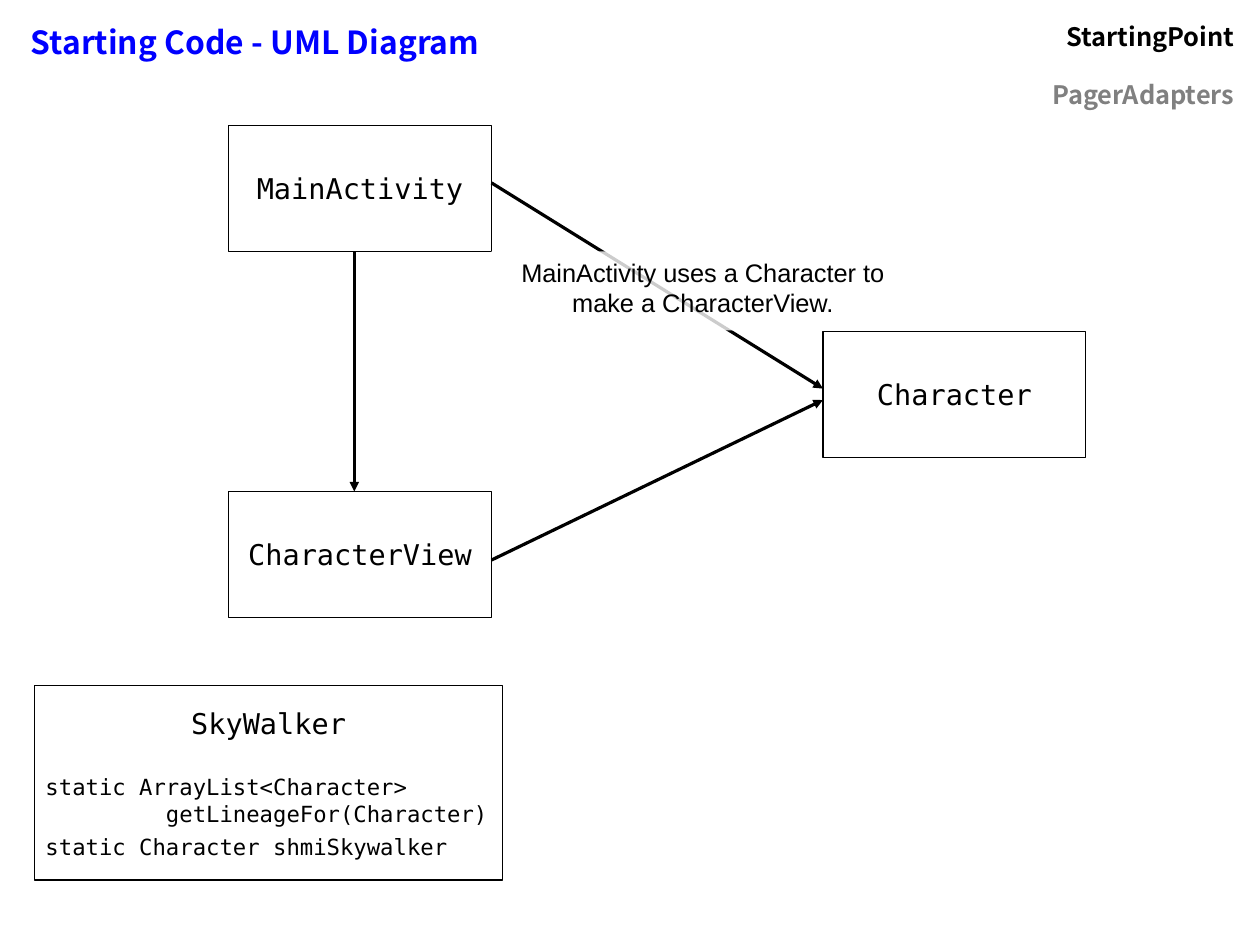
from dataclasses import dataclass

from lxml import etree
from pptx import Presentation
from pptx.dml.color import RGBColor
from pptx.enum.shapes import MSO_CONNECTOR, MSO_SHAPE
from pptx.enum.text import MSO_ANCHOR, PP_ALIGN
from pptx.oxml.ns import qn
from pptx.shapes.autoshape import Shape
from pptx.slide import Slide
from pptx.text.text import _Paragraph
from pptx.util import Pt

RECT = MSO_SHAPE.RECTANGLE
LINE = MSO_CONNECTOR.STRAIGHT
LEFT, CENTER, RIGHT = PP_ALIGN.LEFT, PP_ALIGN.CENTER, PP_ALIGN.RIGHT
TOP, MIDDLE = MSO_ANCHOR.TOP, MSO_ANCHOR.MIDDLE


@dataclass(frozen=True)
class Theme:
    black: RGBColor = RGBColor(0, 0, 0)
    white: RGBColor = RGBColor(255, 255, 255)
    blue: RGBColor = RGBColor(0, 0, 255)
    gray: RGBColor = RGBColor(128, 128, 128)
    head: str = "Noto Sans CJK SC"
    mono: str = "DejaVu Sans Mono"
    sans: str = "Arial"
    title: float = 20
    name: float = 18
    body: float = 16
    code: float = 14
    hair: float = 0


THEME = Theme()


@dataclass(frozen=True)
class Text:
    text: str
    size: float
    font: str = THEME.mono
    color: RGBColor = THEME.black
    align: PP_ALIGN = CENTER
    bold: bool = False
    before: float = 0


@dataclass(frozen=True)
class Box:
    x: float
    y: float
    w: float
    h: float
    texts: tuple[Text, ...]


@dataclass(frozen=True)
class Arrow:
    x1: float
    y1: float
    x2: float
    y2: float


@dataclass(frozen=True)
class Entry:
    row: int
    col: int
    text: Text


def class_box(x: float, y: float, name: str) -> Box:
    return Box(x, y, 165.6, 79.2, (Text(name, THEME.name),))


HEADER = (
    Entry(0, 0, Text("Starting Code - UML Diagram", THEME.title, THEME.head, THEME.blue, LEFT, True)),
    Entry(0, 1, Text("StartingPoint", THEME.body, THEME.head, THEME.black, RIGHT, True)),
    Entry(1, 1, Text("PagerAdapters", THEME.body, THEME.head, THEME.gray, RIGHT, True)),
)
BOXES = (
    Box(21.6, 432, 295.2, 122.4, (
        Text("SkyWalker", THEME.name),
        Text("static ArrayList<Character>", THEME.code, align=LEFT, before=21),
        Text("         getLineageFor(Character)", THEME.code, align=LEFT),
        Text("static Character shmiSkywalker", THEME.code, align=LEFT, before=4),
    )),
    class_box(144, 79.2, "MainActivity"),
    class_box(144, 309.6, "CharacterView"),
    class_box(518.4, 208.8, "Character"),
)
USES = (
    Arrow(309.6, 115.2, 518.4, 244.8),
    Arrow(309.6, 352.8, 518.4, 252),
)
MAKES = Arrow(223.2, 158.4, 223.2, 309.6)
LABEL = Box(309.6, 158.4, 266.4, 49.7, (
    Text("MainActivity uses a Character to make a CharacterView.", THEME.body, THEME.sans),
))


def write(para: _Paragraph, item: Text) -> None:
    para.text = item.text
    para.alignment = item.align
    if item.before:
        para.space_before = Pt(item.before)
    for run in para.runs:
        run.font.name = item.font
        run.font.size = Pt(item.size)
        run.font.bold = item.bold
        run.font.color.rgb = item.color


def add_rect(slide: Slide, box: Box, anchor: MSO_ANCHOR) -> Shape:
    rect = slide.shapes.add_shape(RECT, Pt(box.x), Pt(box.y), Pt(box.w), Pt(box.h))
    rect.shadow.inherit = False
    frame = rect.text_frame
    frame.word_wrap = True
    frame.vertical_anchor = anchor
    for i, item in enumerate(box.texts):
        write(frame.add_paragraph() if i else frame.paragraphs[0], item)
    return rect


def add_box(slide: Slide, box: Box) -> None:
    rect = add_rect(slide, box, MIDDLE)
    rect.fill.background()
    rect.line.color.rgb = THEME.black
    rect.line.width = Pt(THEME.hair)


def add_label(slide: Slide, box: Box) -> None:
    """Add a caption on a white ground that lets 20% of the arrow through."""
    rect = add_rect(slide, box, TOP)
    rect.line.fill.background()
    rect.fill.solid()
    rect.fill.fore_color.rgb = THEME.white
    tint = rect.element.spPr.find(qn("a:solidFill"))[0]
    etree.SubElement(tint, qn("a:alpha"), val="80000")


def add_arrow(slide: Slide, arrow: Arrow) -> None:
    line = slide.shapes.add_connector(LINE, Pt(arrow.x1), Pt(arrow.y1), Pt(arrow.x2), Pt(arrow.y2))
    line.line.color.rgb = THEME.black
    line.line.width = Pt(THEME.hair)
    props = line.element.spPr
    etree.SubElement(props.find(qn("a:ln")), qn("a:tailEnd"), type="triangle")
    etree.SubElement(props, qn("a:effectLst"))


def add_header(slide: Slide) -> None:
    table = slide.shapes.add_table(2, 2, Pt(12.2), Pt(7.2), Pt(772.6), Pt(69.2)).table
    table.first_row = False
    table.horz_banding = False
    for cell in table.iter_cells():
        cell.fill.solid()
        cell.fill.fore_color.rgb = THEME.white
    for entry in HEADER:
        write(table.cell(entry.row, entry.col).text_frame.paragraphs[0], entry.text)


def main() -> None:
    deck = Presentation()
    deck.slide_width, deck.slide_height = Pt(793.7), Pt(595.3)
    slide = deck.slides.add_slide(deck.slide_layouts[6])
    add_header(slide)
    for box in BOXES:
        add_box(slide, box)
    for arrow in USES:
        add_arrow(slide, arrow)
    add_label(slide, LABEL)
    add_arrow(slide, MAKES)
    deck.save("out.pptx")


if __name__ == "__main__":
    main()
